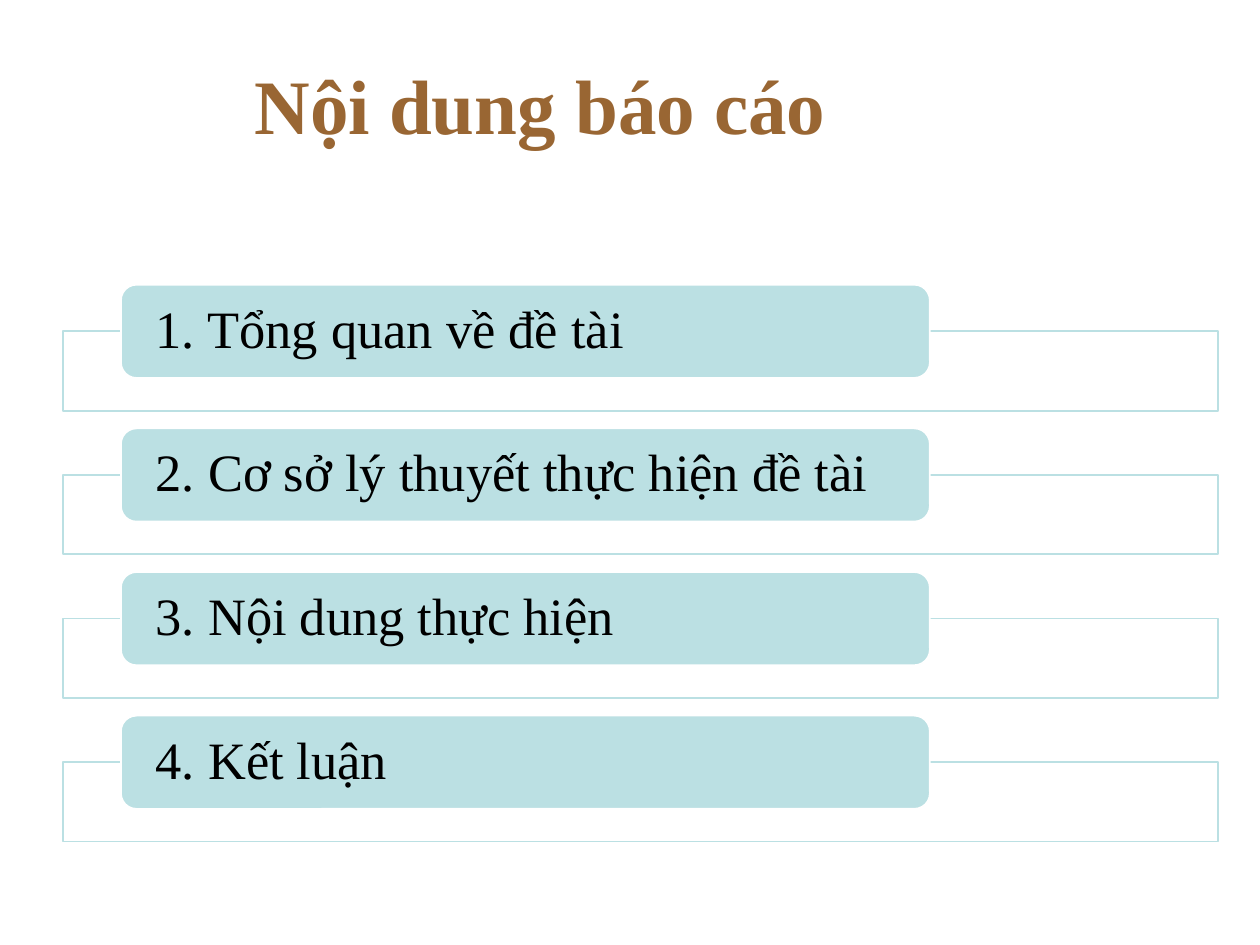
from lxml import etree
from pptx import Presentation
from pptx.dml.color import RGBColor
from pptx.enum.shapes import MSO_SHAPE
from pptx.enum.text import MSO_ANCHOR, PP_ALIGN
from pptx.oxml.ns import qn
from pptx.util import Inches, Pt

RECT, ROUNDED = MSO_SHAPE.RECTANGLE, MSO_SHAPE.ROUNDED_RECTANGLE
MIDDLE, LEFT = MSO_ANCHOR.MIDDLE, PP_ALIGN.LEFT
BROWN = RGBColor(0x99, 0x66, 0x33)
TEAL = RGBColor(0xBB, 0xE0, 0xE3)
WHITE = RGBColor(0xFF, 0xFF, 0xFF)
BLACK = RGBColor(0, 0, 0)
FONT = "Times New Roman"

TOPICS = [
    "1. Tổng quan về đề tài",
    "2. Cơ sở lý thuyết thực hiện đề tài",
    "3. Nội dung thực hiện",
    "4. Kết luận",
]
FIRST_TOP, STEP = 2.26, 1.14


def add_box(shapes, kind, left, top, width, height, fill, line):
    sp = shapes.add_shape(kind, Inches(left), Inches(top), Inches(width), Inches(height))
    sp.shadow.inherit = False
    sp.fill.solid()
    sp.fill.fore_color.rgb = fill
    sp.line.color.rgb = line
    sp.line.width = Pt(1)
    return sp


def set_text(tf, text, size, color, bold):
    tf.text = text
    tf.word_wrap = True
    tf.vertical_anchor = MIDDLE
    p = tf.paragraphs[0]
    p.alignment = LEFT
    font = p.runs[0].font
    font.name, font.size, font.bold = FONT, Pt(size), bold
    font.color.rgb = color
    return p


prs = Presentation()
prs.slide_width, prs.slide_height = Inches(10), Inches(7.5)
s = prs.slides.add_slide(prs.slide_layouts[5])

# Title
title = s.shapes.title
title.left, title.top = Inches(1.92), Inches(0.31)
title.width, title.height = Inches(7.75), Inches(1.03)
set_text(title.text_frame, "Nội dung báo cáo", 44, BROWN, True)

# Agenda: an outlined band with a label over its top edge
agenda = s.shapes.add_group_shape()
for i, topic in enumerate(TOPICS):
    top = FIRST_TOP + i * STEP
    band = add_box(agenda.shapes, RECT, 0.5, top + 0.37, 9.17, 0.63, WHITE, TEAL)
    color = band.fill._xPr.find(qn("a:solidFill"))[0]
    etree.SubElement(color, qn("a:alpha"), val="90000")

    label = add_box(agenda.shapes, ROUNDED, 0.96, top, 6.42, 0.74, TEAL, WHITE)
    tf = label.text_frame
    tf.margin_left = tf.margin_right = Inches(0.24)
    tf.margin_top = tf.margin_bottom = 0
    p = set_text(tf, topic, 30, BLACK, False)
    p.line_spacing = 0.9

prs.save("out.pptx")
